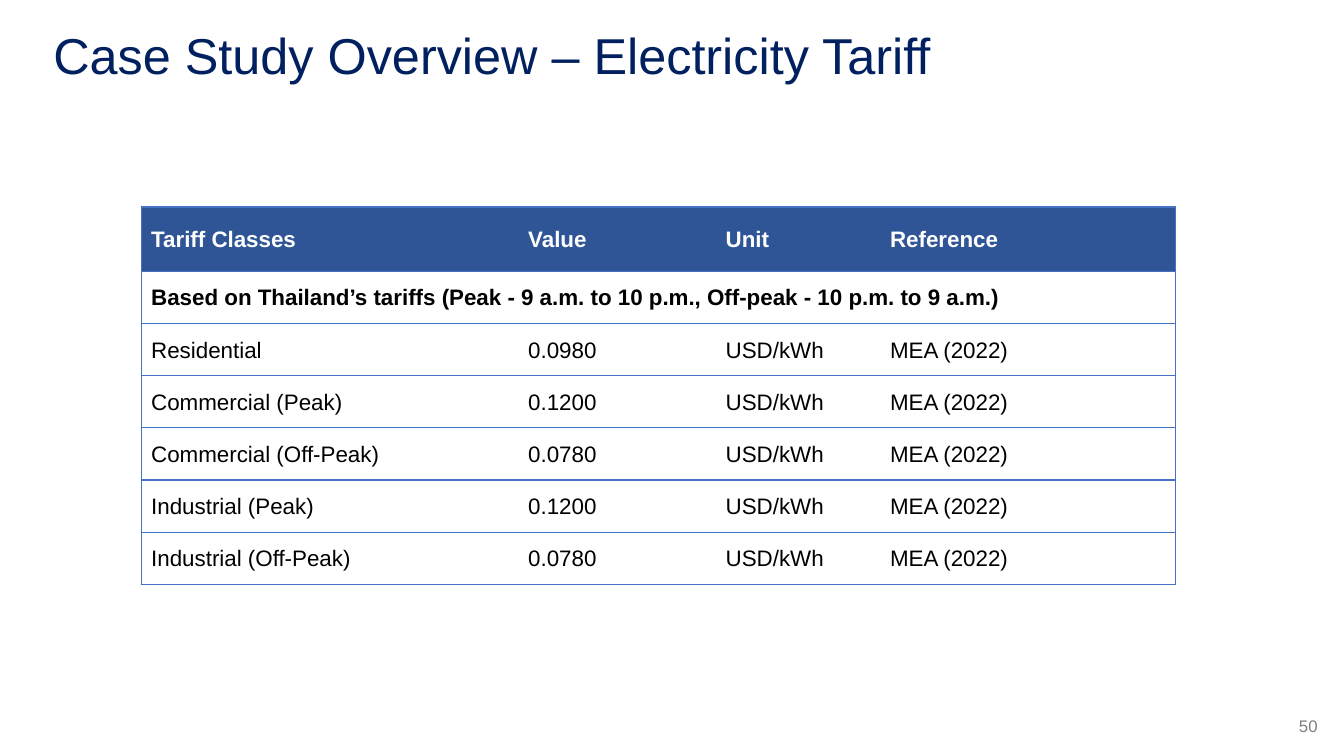
from dataclasses import dataclass

from lxml import etree
from pptx import Presentation
from pptx.dml.color import RGBColor
from pptx.enum.text import MSO_ANCHOR, PP_ALIGN
from pptx.oxml.ns import qn
from pptx.util import Pt

MIDDLE = MSO_ANCHOR.MIDDLE
LEFT, RIGHT = PP_ALIGN.LEFT, PP_ALIGN.RIGHT
PLAIN_TABLE_STYLE = "{2D5ABB26-0587-4C30-8999-92F81FD0307C}"


@dataclass(frozen=True)
class Theme:
    font: str = "Arial"
    title: str = "002060"
    header_fill: str = "2F5597"
    header_text: str = "FFFFFF"
    body_text: str = "000000"
    border: str = "4472C4"
    muted: str = "808080"
    title_size: int = 36
    table_size: int = 16
    number_size: int = 12


THEME = Theme()

HEADINGS = ("Tariff Classes", "Value", "Unit", "Reference")
BASIS = "Based on Thailand’s tariffs (Peak - 9 a.m. to 10 p.m., Off-peak - 10 p.m. to 9 a.m.)"
TARIFFS = (
    ("Residential", "0.0980"),
    ("Commercial (Peak)", "0.1200"),
    ("Commercial (Off-Peak)", "0.0780"),
    ("Industrial (Peak)", "0.1200"),
    ("Industrial (Off-Peak)", "0.0780"),
)
UNIT, REFERENCE = "USD/kWh", "MEA (2022)"
COLUMN_WIDTHS = (269.3, 141.1, 117.4, 211)
HEADER_HEIGHT, ROW_HEIGHT = 46, 37.3


def style_paragraph(para, size, color, bold=False, align=LEFT, spacing=1.0):
    para.alignment = align
    para.line_spacing = spacing
    para.font.name = THEME.font
    para.font.size = Pt(size)
    para.font.bold = bold
    para.font.color.rgb = RGBColor.from_string(color)


def add_text(page, text, left, top, width, height, **style):
    box = page.shapes.add_textbox(Pt(left), Pt(top), Pt(width), Pt(height))
    frame = box.text_frame
    frame.word_wrap = True
    frame.vertical_anchor = MIDDLE
    frame.text = text
    style_paragraph(frame.paragraphs[0], **style)


def set_borders(cell, sides):
    """Draw one-point lines on the given sides, in the order L, R, T, B."""
    properties = cell._tc.get_or_add_tcPr()
    for index, side in enumerate(sides):
        line = etree.Element(qn(f"a:ln{side}"), w=str(Pt(1)))
        fill = etree.SubElement(line, qn("a:solidFill"))
        etree.SubElement(fill, qn("a:srgbClr"), val=THEME.border)
        properties.insert(index, line)


def fill_cell(cell, text, is_header, bold):
    cell.vertical_anchor = MIDDLE
    if is_header:
        cell.fill.solid()
        cell.fill.fore_color.rgb = RGBColor.from_string(THEME.header_fill)
    else:
        cell.fill.background()
        cell.margin_top = cell.margin_bottom = Pt(1.5)
    cell.text = text
    color = THEME.header_text if is_header else THEME.body_text
    style_paragraph(cell.text_frame.paragraphs[0], THEME.table_size, color, bold, spacing=1.07)


def add_tariff_table(page, left, top):
    rows = [HEADINGS, (BASIS, "", "", "")]
    rows += [(*tariff, UNIT, REFERENCE) for tariff in TARIFFS]
    heights = [HEADER_HEIGHT] + [ROW_HEIGHT] * (len(rows) - 1)
    table = page.shapes.add_table(
        len(rows), len(HEADINGS), Pt(left), Pt(top), Pt(sum(COLUMN_WIDTHS)), Pt(sum(heights))
    ).table
    table.horz_banding = False
    table._tbl.tblPr.find(qn("a:tableStyleId")).text = PLAIN_TABLE_STYLE
    for column, width in zip(table.columns, COLUMN_WIDTHS):
        column.width = Pt(width)
    for row, height in zip(table.rows, heights):
        row.height = Pt(height)

    outer_sides = {0: "L", len(HEADINGS) - 1: "R"}
    for row_index, texts in enumerate(rows):
        for column_index, text in enumerate(texts):
            cell = table.cell(row_index, column_index)
            fill_cell(cell, text, is_header=row_index == 0, bold=row_index < 2)
            basis_row = row_index == 1
            set_borders(cell, "LRTB" if basis_row else outer_sides.get(column_index, "") + "TB")
    table.cell(1, 0).merge(table.cell(1, len(HEADINGS) - 1))


def main():
    deck = Presentation()
    deck.slide_width, deck.slide_height = Pt(960), Pt(540)
    page = deck.slides.add_slide(deck.slide_layouts[6])
    add_tariff_table(page, 100.8, 147.8)
    add_text(page, "50", 908, 504, 40.3, 28.8,
             size=THEME.number_size, color=THEME.muted, align=RIGHT)
    add_text(page, "Case Study Overview – Electricity Tariff", 31, 13.7, 828, 56.2,
             size=THEME.title_size, color=THEME.title, spacing=0.9)
    deck.save("out.pptx")


if __name__ == "__main__":
    main()
